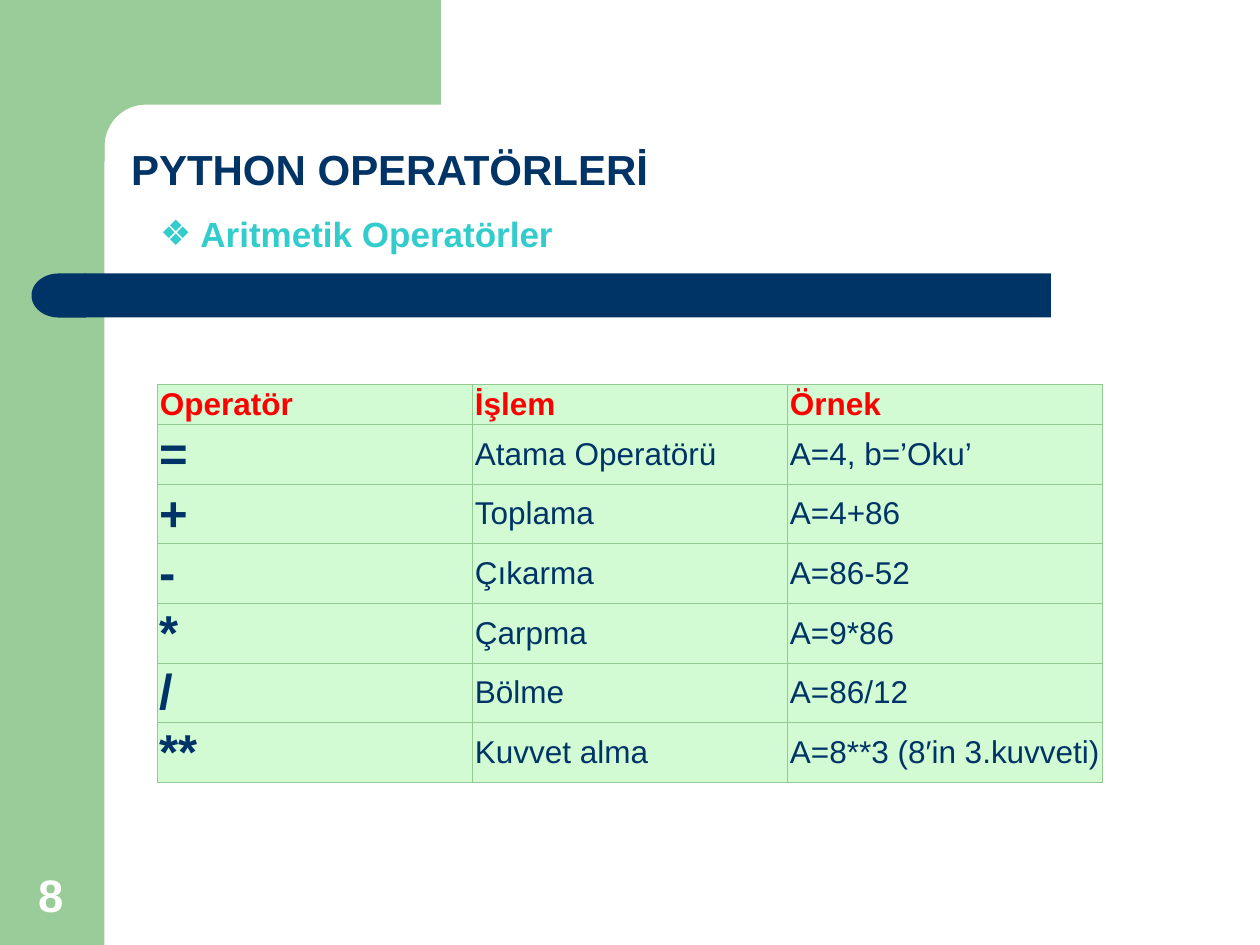
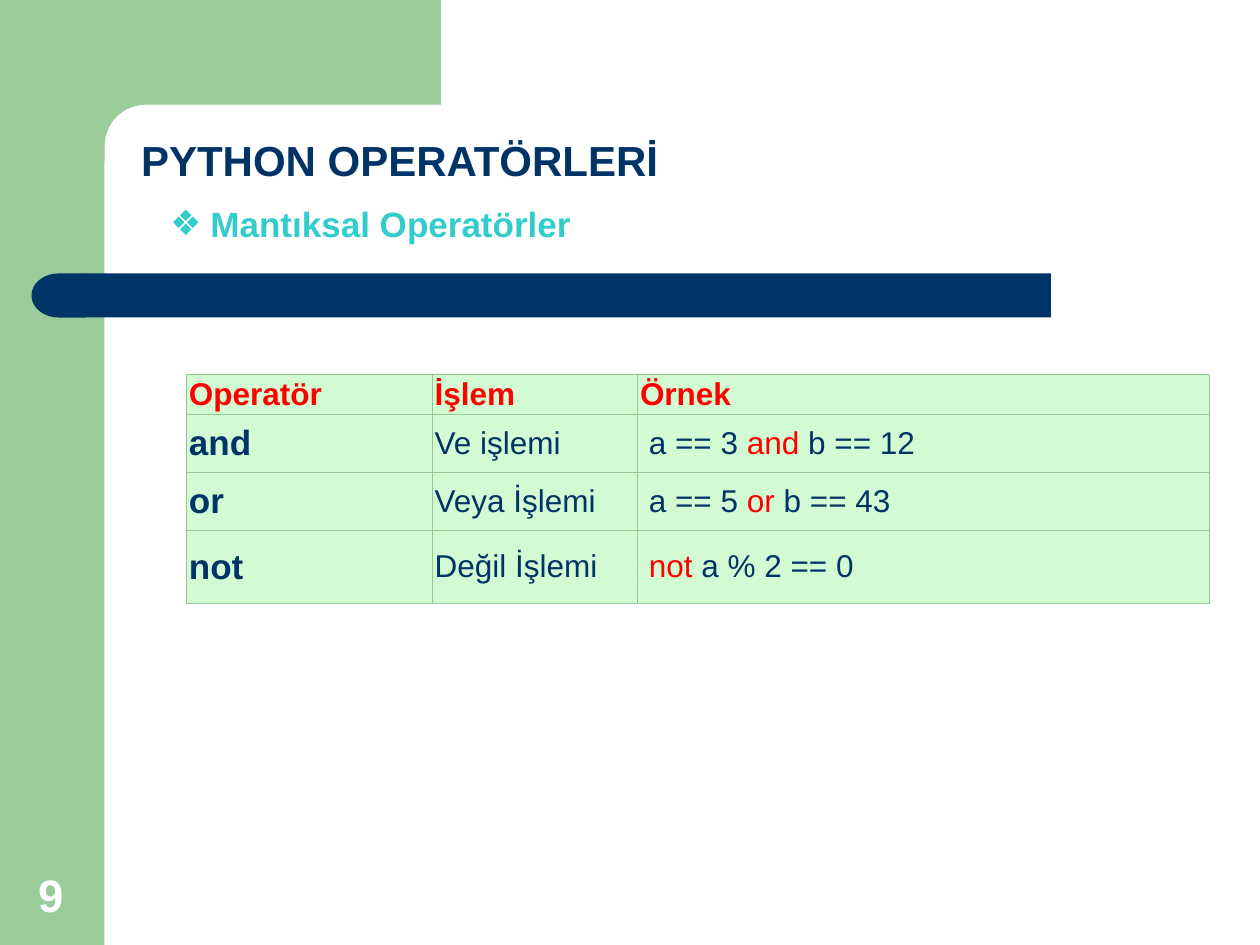
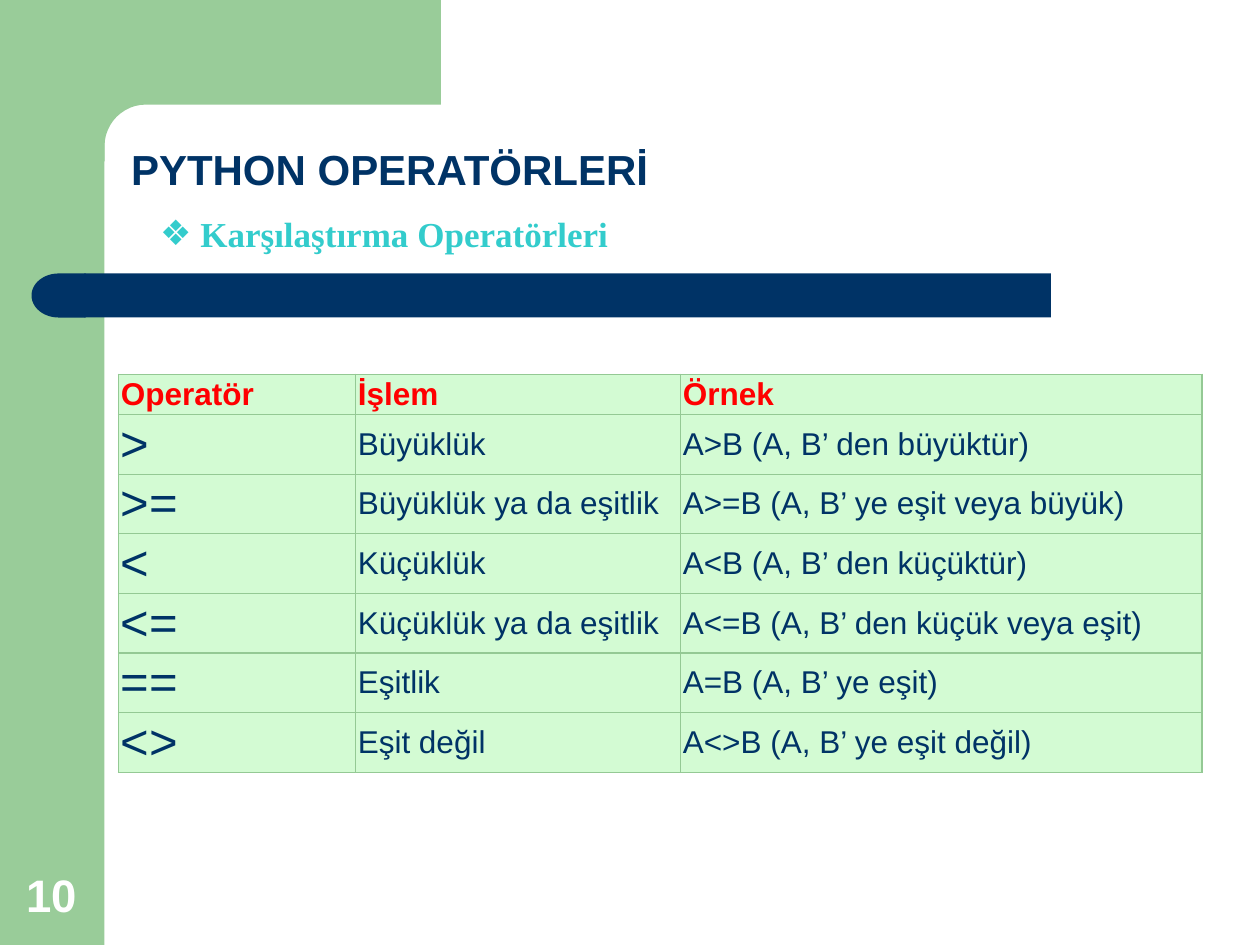
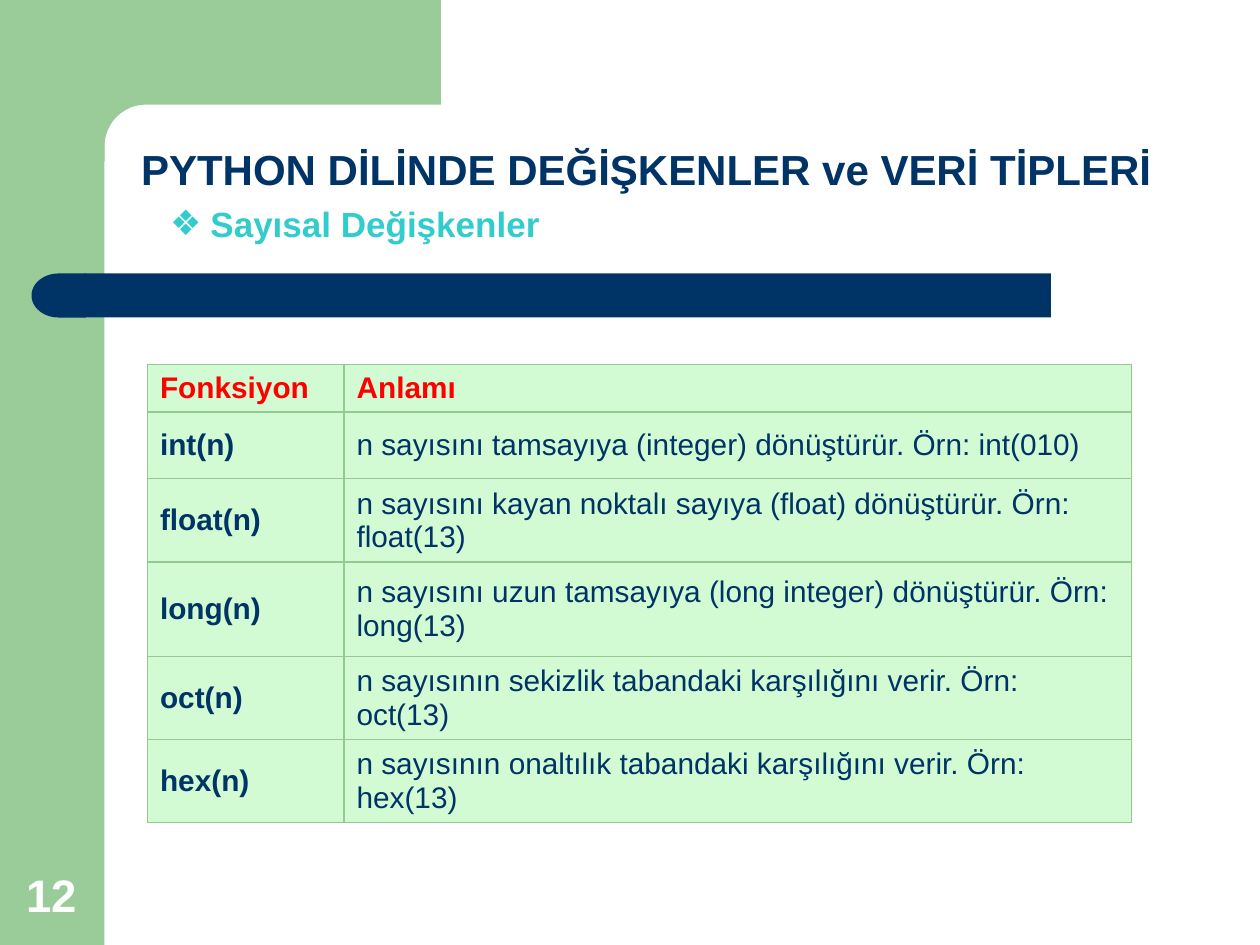
import math
from dataclasses import dataclass

import pptx
import pptx.dml.color
import pptx.enum.shapes
import pptx.enum.text
import pptx.oxml
import pptx.oxml.ns
import pptx.util
from pptx.util import Inches

COLORS = {
    "green": "99CC99",
    "navy": "003366",
    "teal": "33CCCC",
    "red": "FF0000",
    "white": "FFFFFF",
    "mint": "D3FBD3",
    "edge": "94C994",
}
KEYS = {"and", "or", "not"}
SHAPE = pptx.enum.shapes.MSO_SHAPE
ANCHOR = pptx.enum.text.MSO_ANCHOR
ALIGN = pptx.enum.text.PP_ALIGN
HEAD = ("Operatör", "İşlem", "Örnek")


@dataclass(frozen=True)
class Grid:
    left: float
    top: float
    cols: tuple
    heights: tuple
    rows: tuple
    size: int = 18
    key_size: int = 28
    key_bold: bool = True
    pad: tuple = (0.02, 0.02)


@dataclass(frozen=True)
class Page:
    number: int
    title: str
    title_at: tuple
    topic: str
    topic_at: tuple
    grid: Grid
    topic_font: str = "Arial"


PAGES = (
    Page(
        8, "PYTHON OPERATÖRLERİ", (0.94, 1.09),
        "Aritmetik Operatörler", (1.17, 1.64),
        Grid(1.25, 3.05, (2.5, 2.5, 2.5), (0.32,) + (0.47,) * 6, (
            HEAD,
            ("=", "Atama Operatörü", "A=4, b=’Oku’"),
            ("+", "Toplama", "A=4+86"),
            ("-", "Çıkarma", "A=86-52"),
            ("*", "Çarpma", "A=9*86"),
            ("/", "Bölme", "A=86/12"),
            ("**", "Kuvvet alma", "A=8**3 (8′in 3.kuvveti)"),
        )),
    ),
    Page(
        9, "PYTHON OPERATÖRLERİ", (1.02, 1.02),
        "Mantıksal Operatörler", (1.25, 1.56),
        Grid(1.48, 2.97, (1.95, 1.63, 4.54), (0.32, 0.46, 0.46, 0.58), (
            HEAD,
            ("and", "Ve işlemi", ("a == 3 ", "and", " b == 12")),
            ("or", "Veya İşlemi", ("a == 5 ", "or", " b == 43")),
            ("not", "Değil İşlemi", ("not", " a % 2 == 0")),
        ), key_size=20),
    ),
    Page(
        10, "PYTHON OPERATÖRLERİ", (0.94, 1.09),
        "Karşılaştırma Operatörleri", (1.17, 1.64),
        Grid(0.94, 2.97, (1.88, 2.58, 4.14), (0.32,) + (0.47,) * 6, (
            HEAD,
            (">", "Büyüklük", "A>B (A, B’ den büyüktür)"),
            (">=", "Büyüklük ya da eşitlik", "A>=B (A, B’ ye eşit veya büyük)"),
            ("<", "Küçüklük", "A<B (A, B’ den küçüktür)"),
            ("<=", "Küçüklük ya da eşitlik", "A<=B (A, B’ den küçük veya eşit)"),
            ("==", "Eşitlik", "A=B (A, B’ ye eşit)"),
            ("<>", "Eşit değil", "A<>B (A, B’ ye eşit değil)"),
        ), key_bold=False),
        topic_font="Times New Roman",
    ),
    Page(
        12, "PYTHON DİLİNDE DEĞİŞKENLER ve VERİ TİPLERİ", (1.02, 1.09),
        "Sayısal Değişkenler", (1.25, 1.56),
        Grid(1.17, 2.89, (1.56, 6.25), (0.38, 0.53, 0.66, 0.75, 0.66, 0.66), (
            ("Fonksiyon", "Anlamı"),
            ("int(n)", "n sayısını tamsayıya (integer) dönüştürür. Örn: int(010)"),
            ("float(n)", "n sayısını kayan noktalı sayıya (float) dönüştürür. Örn: float(13)"),
            ("long(n)", "n sayısını uzun tamsayıya (long integer) dönüştürür. Örn: long(13)"),
            ("oct(n)", "n sayısının sekizlik tabandaki karşılığını verir. Örn: oct(13)"),
            ("hex(n)", "n sayısının onaltılık tabandaki karşılığını verir. Örn: hex(13)"),
        ), size=17, key_size=17, pad=(0.1, 0.05)),
    ),
)


def rgb(name: str) -> pptx.dml.color.RGBColor:
    return pptx.dml.color.RGBColor.from_string(COLORS[name])


def style(para, size: int, color: str, bold: bool = True, face: str = "Arial") -> None:
    font = para.font
    font.size = pptx.util.Pt(size)
    font.name = face
    font.bold = bold
    font.color.rgb = rgb(color)


def paint(shape, color: str):
    shape.shadow.inherit = False
    shape.fill.solid()
    shape.fill.fore_color.rgb = rgb(color)
    shape.line.fill.background()
    return shape


def add_frame(slide) -> None:
    """Draw the green frame and navy bar, and move them to the slide's layout."""
    shapes = slide.shapes

    def block(kind, color: str, *box: float):
        return paint(shapes.add_shape(kind, *map(Inches, box)), color)

    side = block(SHAPE.RECTANGLE, "green", 0, 0, 0.83, 7.5)
    mid, radius = 1.16, 0.33
    angles = [math.radians(90 + step * 7.5) for step in range(13)]
    arc = [(mid + radius * math.cos(a), mid - radius * math.sin(a)) for a in angles]
    points = [(3.5, 0), (3.5, 0.83), *arc, (0.83, 1.28), (0.5, 1.28)]
    path = shapes.build_freeform(Inches(0.5), 0)
    path.add_line_segments([(Inches(x), Inches(y)) for x, y in points])
    corner = paint(path.convert_to_shape(), "green")
    bar = block(SHAPE.RECTANGLE, "navy", 0.67, 2.17, 7.67, 0.35)
    cap = block(SHAPE.FLOWCHART_DELAY, "navy", 0.25, 2.17, 0.43, 0.35)
    cap.rotation = 180
    for index, shape in enumerate((side, corner, bar, cap), 20):
        shape.element.nvSpPr.cNvPr.set("id", str(index))
        slide.slide_layout.shapes.element.append(shape.element)


def set_text(shape, text: str, at: tuple, size: tuple, anchor):
    """Place a text shape and return its only paragraph."""
    shape.left, shape.top = map(Inches, at)
    shape.width, shape.height = map(Inches, size)
    frame = shape.text_frame
    frame.text = text
    frame.word_wrap = True
    frame.auto_size = pptx.enum.text.MSO_AUTO_SIZE.NONE
    frame.vertical_anchor = anchor
    para = frame.paragraphs[0]
    para.alignment = ALIGN.LEFT
    return para


def add_bullet(para) -> None:
    props = para._p.get_or_add_pPr()
    props.set("marL", str(Inches(0.32)))
    props.set("indent", str(-Inches(0.32)))
    space = pptx.oxml.ns.nsdecls("a")
    for xml in (
        f'<a:buClr {space}><a:srgbClr val="{COLORS["teal"]}"/></a:buClr>',
        f'<a:buFont {space} typeface="Arial"/>',
        f'<a:buChar {space} char="❖"/>',
    ):
        props.append(pptx.oxml.parse_xml(xml))


def add_edges(cell) -> None:
    props = cell._tc.get_or_add_tcPr()
    for side in "LRTB":
        props.append(pptx.oxml.parse_xml(
            f'<a:ln{side} {pptx.oxml.ns.nsdecls("a")} w="{pptx.util.Pt(0.75)}">'
            f'<a:solidFill><a:srgbClr val="{COLORS["edge"]}"/></a:solidFill>'
            f'</a:ln{side}>'
        ))


def fill_cell(cell, text, grid: Grid, head: bool, key: bool) -> None:
    add_edges(cell)
    cell.fill.solid()
    cell.fill.fore_color.rgb = rgb("mint")
    cell.vertical_anchor = ANCHOR.MIDDLE
    cell.margin_left = cell.margin_right = Inches(grid.pad[0])
    cell.margin_top = cell.margin_bottom = Inches(grid.pad[1])
    para = cell.text_frame.paragraphs[0]
    if isinstance(text, tuple):
        cell.margin_left = Inches(0.09)
        for part in text:
            run = para.add_run()
            run.text = part
            if part in KEYS:
                run.font.color.rgb = rgb("red")
    else:
        para.text = text
    if head:
        style(para, grid.size, "red")
    elif key:
        style(para, grid.key_size, "navy", grid.key_bold)
    else:
        style(para, grid.size, "navy", False)


def add_grid(slide, grid: Grid) -> None:
    box = (grid.left, grid.top, sum(grid.cols), sum(grid.heights))
    table = slide.shapes.add_table(
        len(grid.rows), len(grid.cols), *map(Inches, box)
    ).table
    table.first_row = table.horz_banding = False
    for col, width in zip(table.columns, grid.cols):
        col.width = Inches(width)
    for r, (row, height) in enumerate(zip(grid.rows, grid.heights)):
        table.rows[r].height = Inches(height)
        for c, text in enumerate(row):
            fill_cell(table.cell(r, c), text, grid, r == 0, c == 0)


def add_page(deck, page: Page):
    slide = deck.slides.add_slide(deck.slide_layouts[1])
    title, body = slide.placeholders
    para = set_text(title, page.title, page.title_at, (9.22, 0.5), ANCHOR.TOP)
    style(para, 24, "navy")
    para = set_text(body, page.topic, page.topic_at, (9.22, 0.44), ANCHOR.TOP)
    para.space_before = pptx.util.Pt(0)
    add_bullet(para)
    style(para, 20, "teal", face=page.topic_font)
    add_grid(slide, page.grid)
    number = slide.shapes.add_textbox(0, 0, 0, 0)
    para = set_text(number, str(page.number), (0.09, 6.83), (0.64, 0.53), ANCHOR.BOTTOM)
    para.alignment = ALIGN.CENTER
    style(para, 26, "white")
    return slide


def main() -> None:
    deck = pptx.Presentation()
    deck.slide_width, deck.slide_height = Inches(10), Inches(7.5)
    slides = [add_page(deck, page) for page in PAGES]
    add_frame(slides[0])
    deck.save("out.pptx")


if __name__ == "__main__":
    main()
